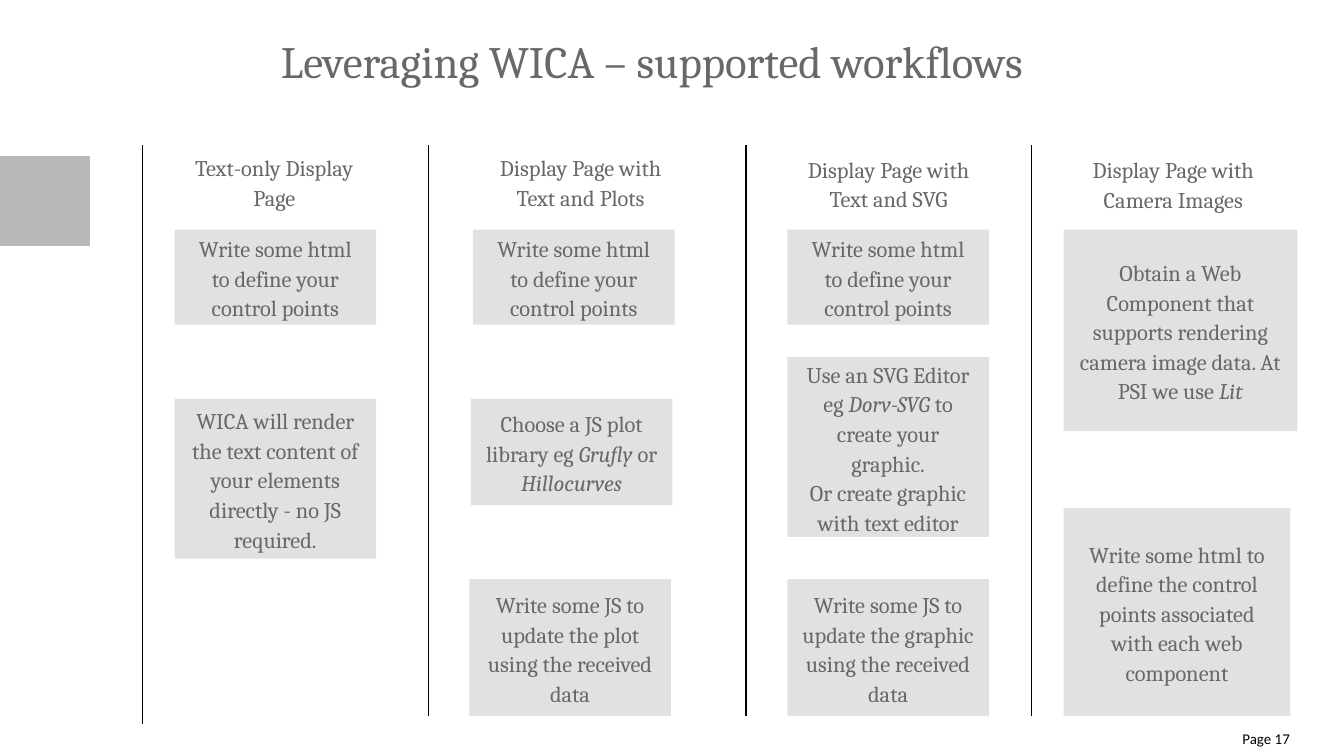
from lxml import etree
from pptx import Presentation
from pptx.dml.color import RGBColor
from pptx.enum.shapes import MSO_CONNECTOR, MSO_SHAPE
from pptx.enum.text import MSO_ANCHOR, PP_ALIGN
from pptx.oxml.ns import qn
from pptx.util import Cm, Pt

LEFT, CENTER, RIGHT = PP_ALIGN.LEFT, PP_ALIGN.CENTER, PP_ALIGN.RIGHT
TOP, MIDDLE = MSO_ANCHOR.TOP, MSO_ANCHOR.MIDDLE
RECTANGLE, STRAIGHT = MSO_SHAPE.RECTANGLE, MSO_CONNECTOR.STRAIGHT
BLACK = RGBColor(0x00, 0x00, 0x00)
GREY_TEXT = RGBColor(0x68, 0x68, 0x68)
GREY_ACCENT = RGBColor(0xB9, 0xB9, 0xB9)
GREY_STEP = RGBColor(0xE1, 0xE1, 0xE1)


def write_text(shape, text, size=12, font="Cambria", color=GREY_TEXT,
               align=CENTER, anchor=MIDDLE, spacing=1.1, inset=0.25):
    frame = shape.text_frame
    frame.word_wrap = True
    frame.vertical_anchor = anchor
    frame.margin_left = frame.margin_right = Cm(inset)
    frame.margin_top = frame.margin_bottom = Cm(inset / 2)
    for number, line in enumerate(text.split("\n")):
        paragraph = frame.add_paragraph() if number else frame.paragraphs[0]
        paragraph.alignment = align
        paragraph.line_spacing = spacing
        for part, words in enumerate(line.split("*")):
            if words:
                run = paragraph.add_run()
                run.text = words
                run.font.name = font
                run.font.size = Pt(size)
                run.font.color.rgb = color
                run.font.italic = part % 2 == 1


def add_block(left, top, width, height, color):
    block = slide.shapes.add_shape(RECTANGLE, Cm(left), Cm(top), Cm(width), Cm(height))
    block.shadow.inherit = False
    block.fill.solid()
    block.fill.fore_color.rgb = color
    block.line.fill.background()
    return block


prs = Presentation()
prs.slide_width, prs.slide_height = Cm(25.4), Cm(14.29)
slide = prs.slides.add_slide(prs.slide_layouts[5])

add_block(0, 2.95, 1.7, 1.7, GREY_ACCENT)

title = slide.shapes.title
title.left, title.top, title.width, title.height = Cm(5.31), Cm(0.61), Cm(19.63), Cm(1.07)
write_text(title, "Leveraging WICA – supported workflows", size=24,
           align=LEFT, spacing=1, inset=0)

page_number = slide.shapes.add_textbox(Cm(22.78), Cm(13.79), Cm(1.6), Cm(0.41))
write_text(page_number, "Page 17", size=8, font="Calibri", color=BLACK,
           align=RIGHT, anchor=TOP, spacing=1, inset=0)

DIVIDER_TOP = 2.74
STEP_WIDTH = 3.81
WRITE_HTML = "Write some html to define your control points"

workflows = [
    (2.69, 13.69, 3.1, 2.74, "Text-only Display Page", [
        (3.3, 4.34, STEP_WIDTH, 1.8, WRITE_HTML),
        (3.3, 7.54, STEP_WIDTH, 3.02,
         "WICA will render the text content of your elements directly - no JS required."),
    ]),
    (8.1, 13.54, 8.89, 2.74, "Display Page with Text and Plots", [
        (8.94, 4.34, STEP_WIDTH, 1.8, WRITE_HTML),
        (8.9, 7.54, STEP_WIDTH, 2.01,
         "Choose a JS plot library eg *Grufly* or *Hillocurves*"),
        (8.87, 10.95, STEP_WIDTH, 2.59,
         "Write some JS to update the plot using the received data"),
    ]),
    (14.1, 13.54, 14.71, 2.77, "Display Page with Text and SVG", [
        (14.88, 4.34, STEP_WIDTH, 1.8, WRITE_HTML),
        (14.88, 6.75, STEP_WIDTH, 3.4,
         "Use an SVG Editor eg *Dorv-SVG* to create your graphic.\n"
         "Or create graphic with text editor"),
        (14.88, 10.95, STEP_WIDTH, 2.59,
         "Write some JS to update the graphic using the received data"),
    ]),
    (19.5, 13.54, 20.09, 2.78, "Display Page with Camera Images", [
        (20.1, 4.34, 4.42, 3.81,
         "Obtain a Web Component that supports rendering camera image data. "
         "At PSI we use *Lit*"),
        (20.1, 9.6, 4.29, 3.94,
         "Write some html to define the control points associated with each web component"),
    ]),
]

for divider_x, divider_bottom, heading_left, heading_top, heading_text, steps in workflows:
    divider = slide.shapes.add_connector(
        STRAIGHT, Cm(divider_x), Cm(DIVIDER_TOP), Cm(divider_x), Cm(divider_bottom))
    divider.line.color.rgb = BLACK
    divider.line.width = Pt(0.75)
    etree.SubElement(divider._element.spPr, qn("a:effectLst"))

    heading = slide.shapes.add_textbox(
        Cm(heading_left), Cm(heading_top), Cm(4.17), Cm(1.4))
    write_text(heading, heading_text, anchor=TOP)

    for left, top, width, height, step_text in steps:
        write_text(add_block(left, top, width, height, GREY_STEP), step_text)

prs.save("out.pptx")
